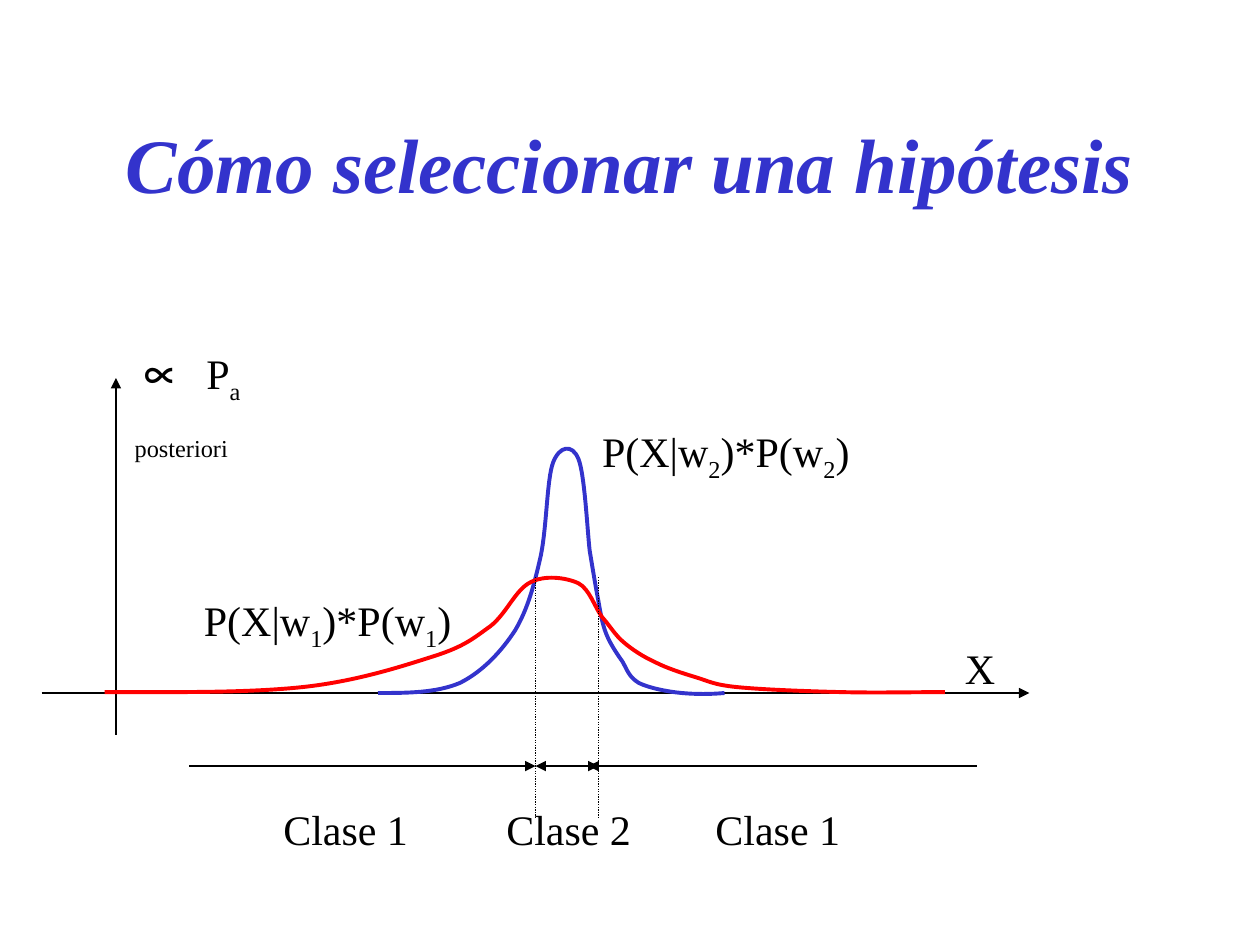
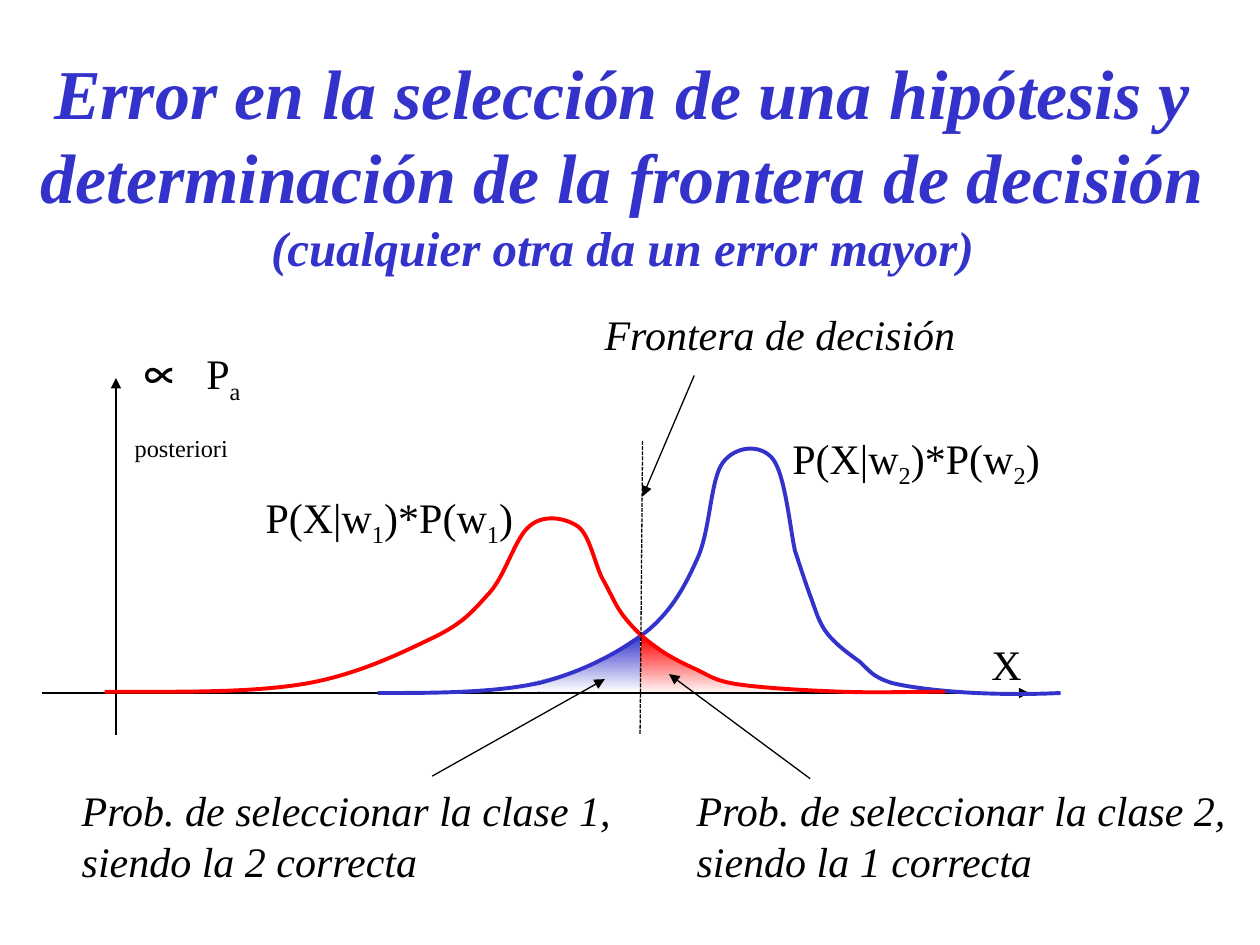
from pptx import Presentation
from pptx.dml.color import RGBColor as Rgb
from pptx.enum.dml import MSO_LINE as Dash
from pptx.enum.text import MSO_ANCHOR as Anchor, MSO_AUTO_SIZE as Auto, PP_ALIGN as Align
from pptx.oxml.ns import qn
from pptx.util import Inches, Pt
from lxml.etree import SubElement as Sub

HUE = {"blue": "3333CC", "red": "FF0000", "black": "000000", "pale": "FEFEFE"}
FONT = "Times New Roman"
BASE = 5.5  # height of the X axis

# Bezier points: a start, then two handles and an end for each piece
BLUE = [(3, 5.5),
        (3.23, 5.5), (3.46, 5.5), (3.65, 5.42), (3.83, 5.33), (3.98, 5.17), (4.09, 5),
        (4.19, 4.83), (4.24, 4.64), (4.29, 4.42), (4.34, 4.19), (4.34, 3.8), (4.39, 3.67),
        (4.44, 3.54), (4.54, 3.52), (4.59, 3.64), (4.64, 3.76), (4.66, 4.19), (4.68, 4.37),
        (4.71, 4.55), (4.72, 4.61), (4.74, 4.72), (4.76, 4.82), (4.77, 4.91), (4.8, 5),
        (4.83, 5.09), (4.89, 5.18), (4.94, 5.25), (4.98, 5.32), (4.99, 5.37), (5.07, 5.42),
        (5.15, 5.46), (5.3, 5.49), (5.41, 5.5), (5.52, 5.51), (5.64, 5.51), (5.75, 5.5)]
RED = [(0.83, 5.49),
       (1.4, 5.49), (1.96, 5.5), (2.4, 5.43), (2.83, 5.36), (3.19, 5.18), (3.44, 5.06),
       (3.69, 4.94), (3.76, 4.84), (3.89, 4.7), (4.02, 4.55), (4.09, 4.26), (4.21, 4.17),
       (4.32, 4.08), (4.49, 4.11), (4.59, 4.18), (4.68, 4.25), (4.72, 4.47), (4.78, 4.59),
       (4.85, 4.71), (4.88, 4.8), (4.95, 4.89), (5.02, 4.98), (5.1, 5.06), (5.2, 5.13),
       (5.29, 5.2), (5.41, 5.26), (5.52, 5.31), (5.63, 5.36), (5.66, 5.4), (5.85, 5.43),
       (6.05, 5.46), (6.4, 5.48), (6.68, 5.49), (6.95, 5.5), (7.23, 5.49), (7.5, 5.49)]


def put(page, x, y, w, h, *lines, slant=False):
    """Add a text box; pieces between underscores are subscripts."""
    box = page.shapes.add_textbox(Inches(x), Inches(y), Inches(w), Inches(h))
    frame = box.text_frame
    frame.word_wrap = False
    frame.auto_size = Auto.SHAPE_TO_FIT_TEXT
    for row, line in enumerate(lines):
        para = frame.add_paragraph() if row else frame.paragraphs[0]
        for spot, piece in enumerate(line.split("_")):
            if not piece:
                continue
            run = para.add_run()
            run.text = piece
            run.font.size, run.font.name, run.font.italic = Pt(24), FONT, slant
            run.font.color.rgb = Rgb.from_string(HUE["black"])
            if spot % 2:
                run.font._element.set("baseline", "-25000")
    return frame


def draw(page, x1, y1, x2, y2, ends=("tailEnd",), dash=None):
    """Add a thin black line with arrowheads at the named ends."""
    link = page.shapes.add_connector(1, Inches(x1), Inches(y1), Inches(x2), Inches(y2))
    link.line.color.rgb = Rgb.from_string(HUE["black"])
    link.line.width = Pt(0.75)
    if dash:
        link.line.dash_style = dash
    for end in ends:
        Sub(link.line._get_or_add_ln(), qn("a:" + end), type="triangle")
    Sub(link._element.spPr, qn("a:effectLst"))


deck = Presentation()
deck.slide_width, deck.slide_height = Inches(10), Inches(7.5)
first, second = [deck.slides.add_slide(deck.slide_layouts[5]) for _ in range(2)]

# Shaded error zones, behind the curves
zones = [
    ("blue", [(3.72, 5.48), (4.1, 5.45), (4.49, 5.35), (4.81, 5.22), (5.08, 5.04),
              (5.08, 5.29), (5.08, 5.49)]),
    ("red", [(5.08, 5.5), (5.09, 5.05), (5.43, 5.28), (5.57, 5.34), (5.83, 5.44),
             (6.13, 5.46), (6.35, 5.48), (6.3, 5.51)]),
]
for hue, spots in zones:
    dots = [(Inches(x), Inches(y)) for x, y in spots]
    pen = second.shapes.build_freeform(*dots[0])
    pen.add_line_segments(dots[1:], close=True)
    zone = pen.convert_to_shape()
    zone.shadow.inherit = False
    zone.line.fill.background()
    zone.fill.gradient()
    zone.fill.gradient_angle = 270
    for stop, tint in zip(zone.fill.gradient_stops, (hue, "pale")):
        stop.color.rgb = Rgb.from_string(HUE[tint])

# Titles: left, width, then lines with their sizes
heads = [
    (first, 0.75, 8.5, [("Cómo seleccionar una hipótesis", 44)]),
    (second, 0.1, 9.68, [
        ("Error en la selección de una hipótesis y determinación de la frontera de decisión", 40),
        ("(cualquier otra da un error mayor)", 28)]),
]
for page, left, wide, lines in heads:
    head = page.shapes.title
    head.left, head.top, head.width, head.height = [
        Inches(n) for n in (left, 0.67, wide, 1.25)]
    frame = head.text_frame
    frame.auto_size, frame.word_wrap = Auto.NONE, True
    frame.vertical_anchor = Anchor.MIDDLE
    para = frame.paragraphs[0]
    para.alignment = Align.CENTER
    for row, (words, size) in enumerate(lines):
        if row:
            para.add_line_break()
        run = para.add_run()
        run.text = words
        font = run.font
        font.name, font.size, font.bold, font.italic = FONT, Pt(size), True, True
        font.color.rgb = Rgb.from_string(HUE["blue"])

# Axes, curves and labels: blue is stretched sideways, red is scaled in height
plots = [
    (first, 1, 0.66, (1.52, 4.67), (4.68, 3.33), (7.56, 5.05)),
    (second, 1.97, 1, (2.01, 3.85), (6.19, 3.38), (7.77, 5.02)),
]
for page, wide, tall, *tags, mark in plots:
    draw(page, 0.92, 5.83, 0.92, 3)
    draw(page, 0.33, BASE, 8.17, BASE)
    for hue, curve, sx, sy in (("blue", BLUE, wide, 1), ("red", RED, 1, tall)):
        x0 = curve[0][0]
        dots = [(Inches(x0 + (x - x0) * sx), Inches(BASE + (y - BASE) * sy))
                for x, y in curve]
        pen = page.shapes.build_freeform(*dots[0])
        pen.add_line_segments(dots[1:], close=False)
        bell = pen.convert_to_shape()
        # Turn every three straight steps into one Bezier piece
        trace = next(bell._element.iter(qn("a:path")))
        steps = trace.findall(qn("a:lnTo"))
        for k in range(0, len(steps), 3):
            bend = Sub(trace, qn("a:cubicBezTo"))
            for step in steps[k:k + 3]:
                bend.append(step[0])
                trace.remove(step)
        bell.shadow.inherit = False
        bell.fill.background()
        bell.line.color.rgb = Rgb.from_string(HUE[hue])
        bell.line.width = Pt(2.25)
    for num, (x, y) in enumerate(tags, 1):
        put(page, x, y, 2.2, 0.56, f"P(X|w_{num}_)*P(w_{num}_)")
    put(page, *mark, 0.44, 0.5, "X")
    frame = put(page, 0.97, 2.6, 1.69, 0.67, "∝ __P_a posteriori_")
    frame.word_wrap, frame.auto_size = True, Auto.NONE
    sign = frame.paragraphs[0].runs[0].font
    sign.name, sign.size = "Arial", Pt(32)

# Slide 1: class limits and ranges
for x in (4.25, 4.75):
    draw(first, x, 4.58, x, 6.5, (), Dash.ROUND_DOT)
draw(first, 1.5, 6.08, 4.25, 6.08)
draw(first, 7.75, 6.08, 4.67, 6.08)
draw(first, 4.25, 6.08, 4.75, 6.08, ("headEnd", "tailEnd"))
for x, num in ((2.15, 1), (5.58, 1), (3.92, 2)):
    put(first, x, 6.33, 1.19, 0.5, f"Clase {num}")

# Slide 2: decision border and the two errors
draw(second, 5.1, 3.5, 5.08, 5.83, (), Dash.SQUARE_DOT)
put(second, 4.7, 2.4, 2.99, 0.5, "Frontera de decisión", slant=True)
draw(second, 5.51, 2.98, 5.1, 3.94)
for x, pick, true in ((0.55, 1, 2), (5.43, 2, 1)):
    put(second, x, 6.18, 4.49, 0.9, f"Prob. de seleccionar la clase {pick},",
        f"siendo la {true} correcta", slant=True)
draw(second, 3.43, 6.16, 4.8, 5.39)
draw(second, 6.43, 6.18, 5.31, 5.35)

deck.save("out.pptx")
